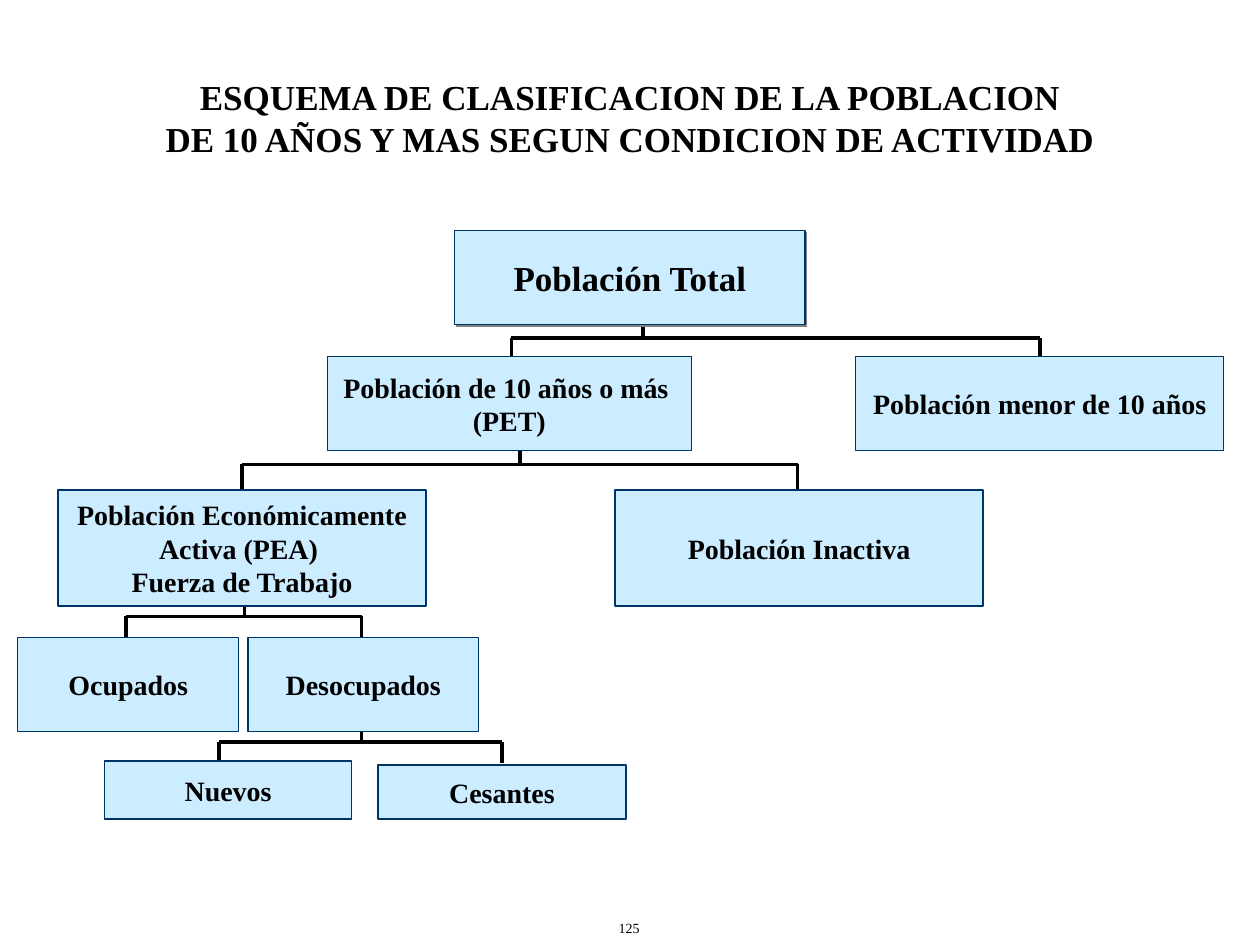
from dataclasses import dataclass

from lxml import etree
from pptx import Presentation
from pptx.dml.color import RGBColor
from pptx.enum import shapes, text
from pptx.oxml import parse_xml
from pptx.oxml.ns import nsdecls, qn
from pptx.util import Cm, Pt


@dataclass(frozen=True)
class Theme:
    font: str = "Times New Roman"
    ink: RGBColor = RGBColor(0, 0, 0)
    fill: RGBColor = RGBColor(0xCC, 0xEC, 0xFF)
    edge: RGBColor = RGBColor(0x00, 0x33, 0x66)
    shade: str = "808080"
    head: int = 20
    body: int = 16
    foot: int = 8
    thin: float = 0.75
    thick: float = 2


THEME = Theme()

# Boxes are left, top, width, height in cm.
TITLE = (0.74, 1.7, 23.92, 1.35)
FOOT = (12.01, 18.42, 1.35, 0.61)
ROOT = (9.17, 4.65, 7.06, 1.9)
NODES = [
    ("Nuevos", (2.11, 15.34, 4.98, 1.17)),
    ("Cesantes", (7.62, 15.42, 5, 1.09)),
    ("Población de 10 años o más \n(PET)", (6.6, 7.19, 7.34, 1.9)),
    ("Población menor de 10 años", (17.25, 7.19, 7.42, 1.9)),
    ("Población Económicamente Activa (PEA) \nFuerza de Trabajo",
     (1.17, 9.88, 7.42, 2.34)),
    ("Población Inactiva", (12.4, 9.88, 7.42, 2.34)),
    ("Ocupados", (0.36, 12.85, 4.45, 1.9)),
    ("Desocupados", (5, 12.85, 4.65, 1.9)),
]
# Each fork has a box and the distance of its stem from the left edge.
FORKS = [
    ((10.31, 6.2, 10.65, 1.22), 2.65),
    ((4.88, 8.74, 11.2, 1.24), 5.6),
    ((2.54, 11.79, 4.75, 1.27), 2.39),
    ((4.42, 14.53, 5.7, 0.86), 2.87),
]


def write(frame, words, size, bold=True, anchor=text.MSO_ANCHOR.MIDDLE):
    frame.word_wrap = True
    frame.vertical_anchor = anchor
    frame.text = words
    for para in frame.paragraphs:
        para.alignment = text.PP_ALIGN.CENTER
        font = para.font
        font.name, font.size, font.bold = THEME.font, Pt(size), bold
        font.color.rgb = THEME.ink


def label(slide, box, words, size, **style):
    area = slide.shapes.add_textbox(*map(Cm, box))
    write(area.text_frame, words, size, **style)


def node(slide, box, words, size=THEME.body):
    rect = slide.shapes.add_shape(
        shapes.MSO_SHAPE.RECTANGLE, *map(Cm, box))
    rect.shadow.inherit = False
    rect.fill.solid()
    rect.fill.fore_color.rgb = THEME.fill
    rect.line.color.rgb = THEME.edge
    rect.line.width = Pt(THEME.thin)
    write(rect.text_frame, words, size)
    return rect


def cast(shape):
    """Give the shape a hard shadow to the lower right."""
    effects = shape._element.spPr.find(qn("a:effectLst"))
    effects.append(parse_xml(
        f'<a:outerShdw {nsdecls("a")} dist="{Pt(1.4)}" dir="2700000" '
        f'algn="ctr" rotWithShape="0"><a:srgbClr val="{THEME.shade}"/>'
        '</a:outerShdw>'))


def fork(slide, box, stem):
    """Join a parent to two children: stem, crossbar and two drops."""
    left, top, width, height = box
    right, low, mid = left + width, top + height, top + height / 2
    hub = left + stem
    group = slide.shapes.add_group_shape()
    for ends in (
        (hub, top, hub, mid),
        (left, mid, left, low),
        (right, mid, right, low),
        (left, mid, hub, mid),
        (hub, mid, right, mid),
    ):
        line = group.shapes.add_connector(
            shapes.MSO_CONNECTOR.STRAIGHT, *map(Cm, ends))
        line.line.color.rgb = THEME.ink
        line.line.width = Pt(THEME.thick)
        etree.SubElement(line._element.spPr, qn("a:effectLst"))


def tree(slide):
    for box, stem in FORKS:
        fork(slide, box, stem)
    for words, box in NODES:
        node(slide, box, words)
    cast(node(slide, ROOT, "Población Total", THEME.head))


def main():
    deck = Presentation()
    deck.slide_width, deck.slide_height = Cm(25.4), Cm(19.05)
    slide = deck.slides.add_slide(deck.slide_layouts[6])
    label(slide, TITLE,
          "ESQUEMA DE CLASIFICACION DE LA POBLACION\v"
          "DE 10 AÑOS Y MAS SEGUN CONDICION DE ACTIVIDAD", THEME.head)
    tree(slide)
    label(slide, FOOT, "125", THEME.foot, bold=False,
          anchor=text.MSO_ANCHOR.TOP)
    deck.save("out.pptx")


if __name__ == "__main__":
    main()
